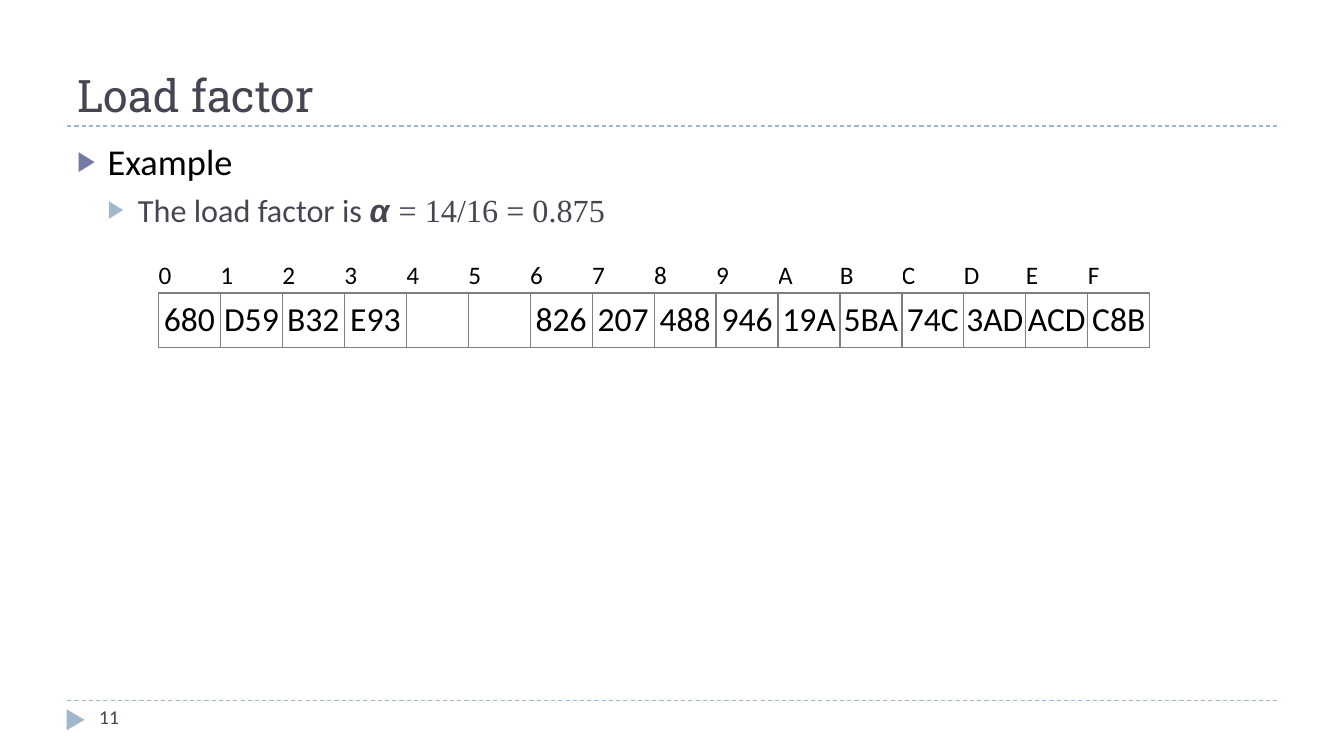
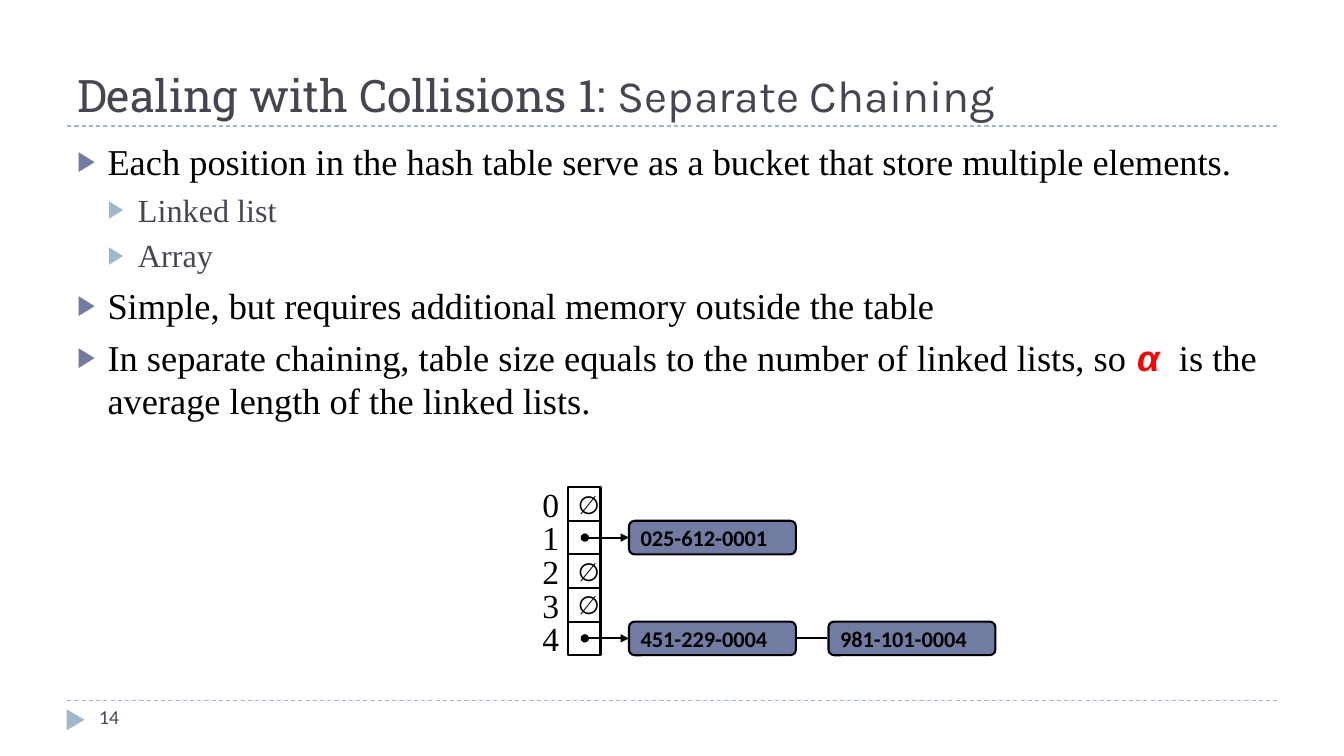
"""Build two slides on hash tables: load factor and separate chaining."""
from dataclasses import dataclass

from lxml.etree import SubElement as Sub
from pptx import Presentation
from pptx.dml.color import RGBColor as RGB
from pptx.enum.dml import MSO_LINE as Dash
from pptx.enum.shapes import MSO_CONNECTOR as Conn, MSO_SHAPE as Form
from pptx.enum.text import MSO_ANCHOR as Anchor, PP_ALIGN as Align
from pptx.oxml.ns import qn
from pptx.util import Pt


@dataclass(frozen=True)
class Theme:
    ink: str = "000000"
    slate: str = "464653"
    blue: str = "727CA3"
    sky: str = "9FB8CD"
    grey: str = "7F7F7F"
    red: str = "FF0000"
    sans: str = "Calibri"
    serif: str = "Times New Roman"
    greek: str = "Arial"
    slab: str = "Roboto Slab"
    light: str = "Karla"
    title: int = 32
    body: tuple = (26, 23)
    large: int = 24
    small: int = 18
    node: int = 16
    foot: int = 14


look = Theme()
PX = 9525


def put(frame, text, size=look.small, font=look.sans, color=look.ink, bold=False,
        slant=False, align=Align.LEFT, anchor=Anchor.TOP, wrap=True):
    """Add a formatted run to the last paragraph of a text frame."""
    frame.word_wrap = wrap
    frame.vertical_anchor = anchor
    para = frame.paragraphs[-1]
    para.alignment = align
    run = para.add_run()
    run.text = text
    run.font.size = Pt(size)
    run.font.name = font
    run.font.bold = bold
    run.font.italic = slant
    run.font.color.rgb = RGB.from_string(color)


def link(slide, left, right, y, color=look.ink, width=1.5, dash=None, arrow=False):
    """Draw a level line, dashed or with a dot and an arrowhead if asked."""
    bar = slide.shapes.add_connector(Conn.STRAIGHT, left * PX, y * PX, right * PX, y * PX)
    bar.line.color.rgb = RGB.from_string(color)
    bar.line.width = Pt(width)
    if dash:
        bar.line.dash_style = dash
    if arrow:
        edge = bar.line._get_or_add_ln()
        Sub(edge, qn("a:headEnd"), type="oval")
        Sub(edge, qn("a:tailEnd"), type="triangle")
    Sub(bar._element.spPr, qn("a:effectLst"))


alpha = {"font": look.greek, "bold": True, "slant": True}
serif = {"font": look.serif}
pages = [
    (11, [("Load factor", look.slab)], [
        (0, [("Example", {})]),
        (1, [("The load factor is ", {}), ("α ", alpha), ("= 14/16 = 0.875", serif)]),
    ]),
    (14, [("Dealing with Collisions 1: ", look.slab), ("Separate Chaining", look.light)], [
        (0, [("Each position in the hash table serve as a bucket that store multiple elements.", serif)]),
        (1, [("Linked list", serif)]),
        (1, [("Array", serif)]),
        (0, [("Simple, but requires additional memory outside the table", serif)]),
        (0, [("In separate chaining, table size equals to the number of linked lists, so ", serif),
             ("α ", {**alpha, "color": look.red}),
             (" is the average length of the linked lists.", serif)]),
    ]),
]

deck = Presentation()
deck.slide_width, deck.slide_height = 1280 * PX, 720 * PX
slides = []
for num, title, items in pages:
    slide = deck.slides.add_slide(deck.slide_layouts[6])
    slides.append(slide)
    for y in (667, 120):
        link(slide, 64, 1216, y, look.sky, 0.75, Dash.DASH)
    mark = slide.shapes.add_shape(Form.ISOSCELES_TRIANGLE, 62 * PX, 677 * PX, 20 * PX, 17 * PX)
    mark.rotation = 90
    mark.shadow.inherit = False
    mark.fill.solid()
    mark.fill.fore_color.rgb = RGB.from_string(look.sky)
    mark.line.fill.background()

    head, main, foot = [
        slide.shapes.add_textbox(*(n * PX for n in area)).text_frame
        for area in ((64, 16, 1152, 104), (64, 128, 1152, 518), (85, 667, 277, 38))]
    for text, font in title:
        put(head, text, size=look.title, font=font, color=look.slate, anchor=Anchor.BOTTOM)
    put(foot, str(num), size=look.foot, color=look.slate)

    for row, (level, runs) in enumerate(items):
        para = main.add_paragraph() if row else main.paragraphs[0]
        para.level = level
        para.space_before = Pt(6 - level)
        props = para._p.get_or_add_pPr()
        props.set("marL", str(29 * (level + 1) * PX))
        props.set("indent", str(-29 * PX))
        tint = Sub(props, qn("a:buClr"))
        Sub(tint, qn("a:srgbClr"), val=(look.blue, look.sky)[level])
        Sub(props, qn("a:buSzPct"), val="76000")
        Sub(props, qn("a:buFont"), typeface=look.greek)
        Sub(props, qn("a:buChar"), char="▶")
        for text, style in runs:
            put(main, text, **{"size": look.body[level],
                               "color": (look.ink, look.slate)[level], **style})

load, chain = slides

keys = ["680", "D59", "B32", "E93", "", "", "826", "207",
        "488", "946", "19A", "5BA", "74C", "3AD", "ACD", "C8B"]
grid = load.shapes.add_table(2, 16, 151 * PX, 247 * PX, 16 * 59 * PX, 84 * PX).table
grid.first_row = grid.horz_banding = False
for col in grid.columns:
    col.width = 59 * PX
rows = [("0123456789ABCDEF", 32, look.small, Align.LEFT, ["lnB"]),
        (keys, 52, look.large, Align.CENTER, ["lnL", "lnR", "lnT", "lnB"])]
for r, (texts, high, size, align, sides) in enumerate(rows):
    grid.rows[r].height = high * PX
    for c, text in enumerate(texts):
        cell = grid.cell(r, c)
        cell.margin_left = cell.margin_right = cell.margin_top = cell.margin_bottom = 0
        cell.vertical_anchor = Anchor.MIDDLE
        props = cell._tc.get_or_add_tcPr()
        for side in sides:
            edge = Sub(props, qn("a:" + side), w=str(Pt(1)))
            Sub(Sub(edge, qn("a:solidFill")), qn("a:srgbClr"), val=look.grey)
        cell.fill.background()
        if text:
            para = cell.text_frame.paragraphs[0]
            para.alignment = align
            run = para.add_run()
            run.text = text
            run.font.size = Pt(size)
            run.font.name = look.sans
            run.font.color.rgb = RGB.from_string(look.ink)

lists = [[], ["025-612-0001"], [], [], ["451-229-0004", "981-101-0004"]]
for slot, nodes in enumerate(lists):
    top = 464 + 32 * slot
    mid = top + 16
    label = chain.shapes.add_textbox(507 * PX, (top - 8) * PX, 36 * PX, 48 * PX)
    put(label.text_frame, str(slot), size=look.large, font=look.serif, wrap=False)

    parts = [(Form.RECTANGLE, 541, 31, "" if nodes else "∅", look.small)]
    parts += [(Form.ROUNDED_RECTANGLE, 599 + 190 * n, 159, text, look.node)
              for n, text in enumerate(nodes)]
    for form, left, wide, text, size in parts:
        box = chain.shapes.add_shape(form, left * PX, top * PX, wide * PX, 32 * PX)
        box.shadow.inherit = False
        box.line.color.rgb = RGB.from_string(look.ink)
        box.line.width = Pt(1.5)
        node = form == Form.ROUNDED_RECTANGLE
        if node:
            box.fill.solid()
            box.fill.fore_color.rgb = RGB.from_string(look.blue)
        else:
            box.fill.background()
        if text:
            put(box.text_frame, text, size=size, bold=node, anchor=Anchor.MIDDLE, wrap=False)
    for n in range(len(nodes)):
        if n:
            link(chain, 568 + 190 * n, 598 + 190 * n, mid)
        else:
            link(chain, 557, 599, mid, arrow=True)

deck.save("out.pptx")
